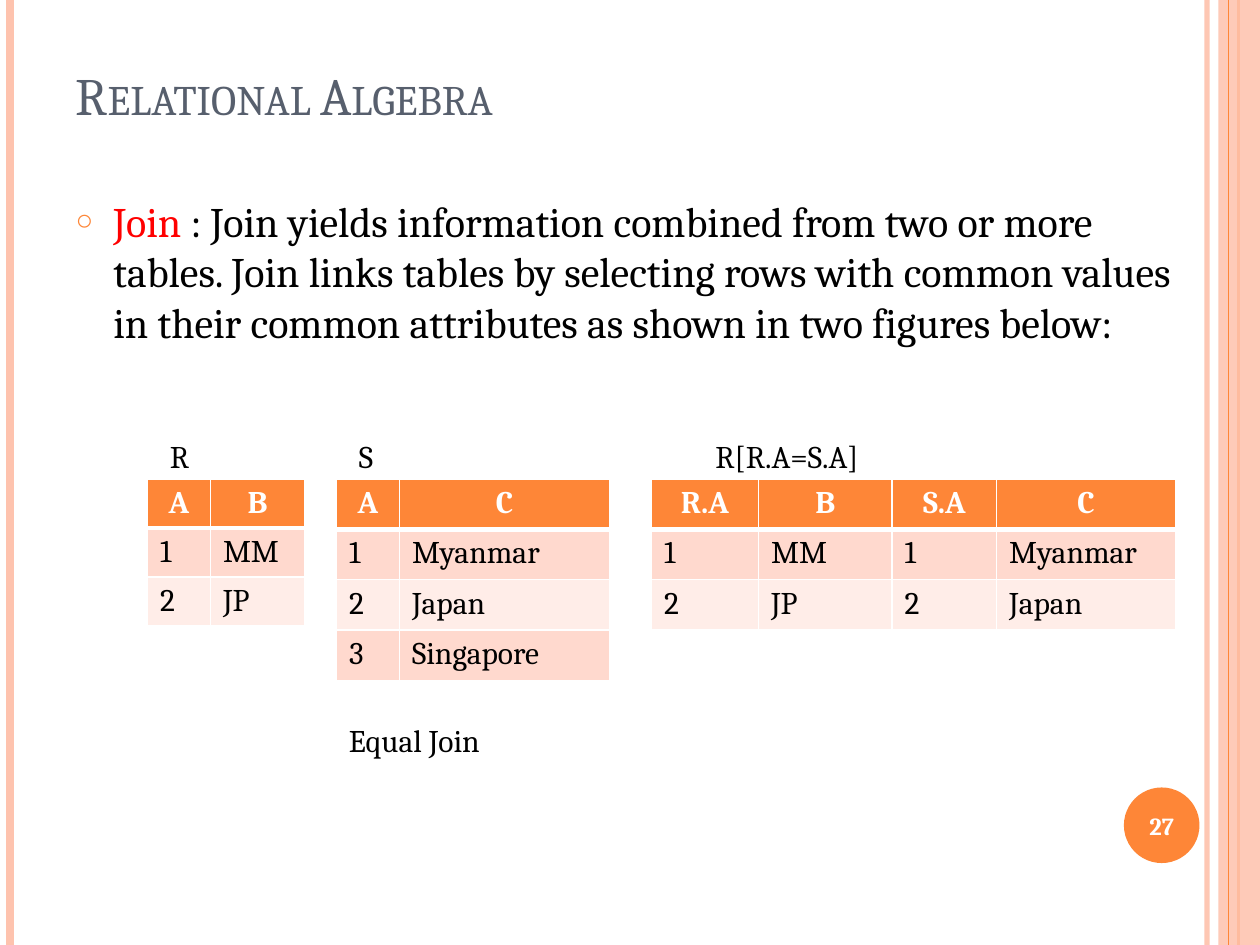
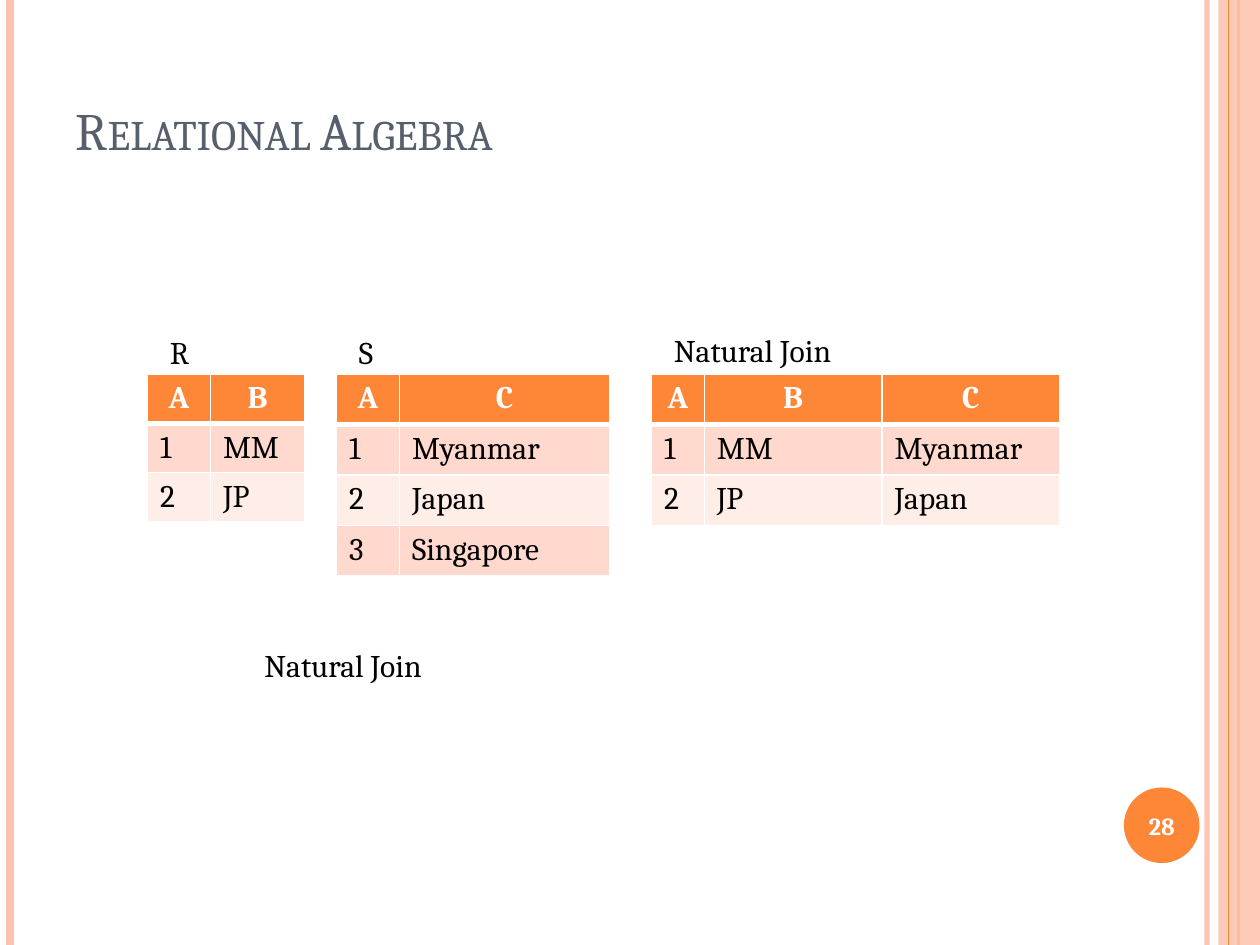
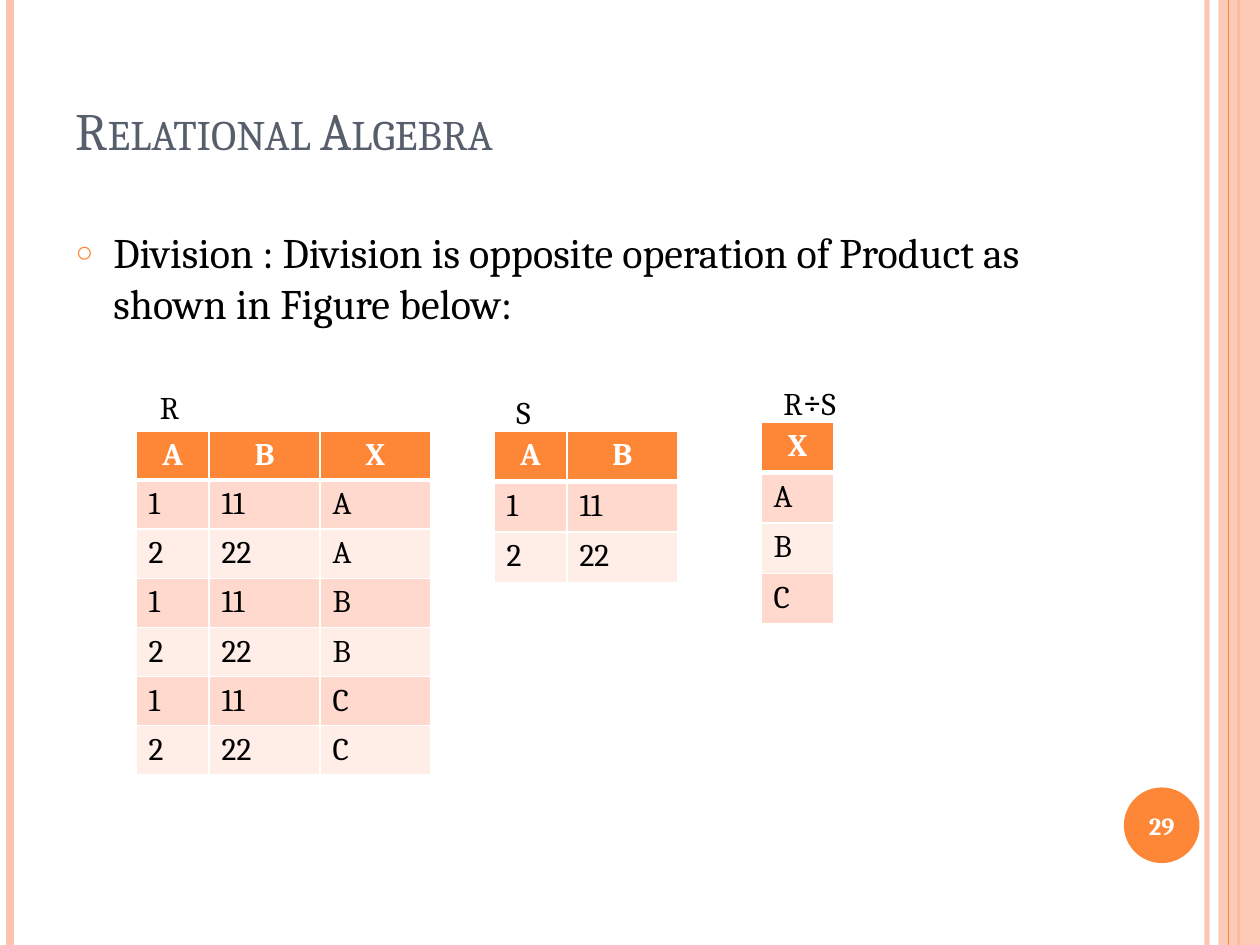
"""Builds three slides on relational algebra: equal join, natural join and division."""
from itertools import product

from lxml.etree import SubElement
from pptx import Presentation
from pptx.dml.color import RGBColor
from pptx.enum.shapes import MSO_CONNECTOR, MSO_SHAPE
from pptx.enum.text import MSO_ANCHOR as Anchor, MSO_AUTO_SIZE as AutoSize, PP_ALIGN as Align
from pptx.oxml.ns import qn
from pptx.util import Inches, Pt

ORANGE = RGBColor(0xFE, 0x86, 0x37)
PEACH = RGBColor(0xFE, 0xC3, 0xAE)
BAND_DARK = RGBColor(0xFF, 0xD9, 0xCE)
BAND_LIGHT = RGBColor(0xFF, 0xED, 0xE8)
SLATE = RGBColor(0x57, 0x5F, 0x6D)
RED = RGBColor(0xFF, 0, 0)
BLACK = RGBColor(0, 0, 0)
WHITE = RGBColor(0xFF, 0xFF, 0xFF)

FONT = "Cambria"
SYMBOL_FONT = "Noto Sans Mono"
TITLE_AND_BODY, TITLE_ONLY = 1, 5

R_ROWS = ["A B", "1 MM", "2 JP"]
S_ROWS = ["A C", "1 Myanmar", "2 Japan", "3 Singapore"]
EQUAL_JOIN_ROWS = ["R.A B S.A C", "1 MM 1 Myanmar", "2 JP 2 Japan"]
NATURAL_JOIN_ROWS = ["A B C", "1 MM Myanmar", "2 JP Japan"]
DIVISOR_ROWS = ["A B", "1 11", "2 22"]
DIVIDEND_ROWS = ["A B X"] + [f"{pair} {x}" for x, pair in product("ABC", DIVISOR_ROWS[1:])]


def set_font(target, size, color, bold=False):
    font = target.font
    font.name, font.size, font.bold = FONT, Pt(size), bold
    font.color.rgb = color


def set_alpha(shape, percent):
    color = shape._element.spPr.find(f".//{qn('a:srgbClr')}")
    SubElement(color, qn("a:alpha")).set("val", str(percent * 1000))


def set_borders(cell, row):
    properties = cell._tc.get_or_add_tcPr()
    widths = {"L": 1, "R": 1, "T": 3 if row == 1 else 1, "B": 3 if row == 0 else 1}
    for side, width in widths.items():
        border = SubElement(properties, qn(f"a:ln{side}"), w=str(Pt(width)))
        fill = SubElement(border, qn("a:solidFill"))
        SubElement(fill, qn("a:srgbClr"), val=str(WHITE))


def place(shape, left, top, width, height):
    shape.left, shape.top = Inches(left), Inches(top)
    shape.width, shape.height = Inches(width), Inches(height)


class Deck:
    def __init__(self):
        self.prs = Presentation()
        self.prs.slide_width, self.prs.slide_height = Inches(10), Inches(7.5)
        self.slide = None

    def start(self, number, layout, title_top=0.7):
        self.slide = self.prs.slides.add_slide(self.prs.slide_layouts[layout])
        self.stripe(9.58, PEACH, 3, alpha=93)
        self.stripe(0.08, PEACH, 4.5)
        self.stripe(9.83, ORANGE, 1.5)
        band = self.shape(MSO_SHAPE.RECTANGLE, 9.67, 0, 0.33, 7.5, PEACH)
        set_alpha(band, 87)
        self.stripe(9.75, ORANGE, 0.75)
        self.page_number(number)
        self.title("Relational Algebra", title_top)

    def stripe(self, x, color, width, alpha=None):
        line = self.slide.shapes.add_connector(
            MSO_CONNECTOR.STRAIGHT, Inches(x), 0, Inches(x), Inches(7.5))
        line.line.color.rgb = color
        line.line.width = Pt(width)
        if alpha:
            set_alpha(line, alpha)
        SubElement(line._element.spPr, qn("a:effectLst"))

    def shape(self, kind, left, top, width, height, color):
        shape = self.slide.shapes.add_shape(
            kind, Inches(left), Inches(top), Inches(width), Inches(height))
        shape.shadow.inherit = False
        shape.fill.solid()
        shape.fill.fore_color.rgb = color
        shape.line.fill.background()
        return shape

    def page_number(self, number):
        badge = self.shape(MSO_SHAPE.OVAL, 8.92, 6.25, 0.6, 0.6, ORANGE)
        frame = badge.text_frame
        frame.margin_left = frame.margin_right = 0
        frame.vertical_anchor = Anchor.MIDDLE
        paragraph = frame.paragraphs[0]
        paragraph.text = str(number)
        paragraph.alignment = Align.CENTER
        set_font(paragraph, 14, WHITE, bold=True)

    def title(self, text, top):
        heading = self.slide.shapes.title
        place(heading, 0.5, top, 8.17, 0.63)
        frame = heading.text_frame
        frame.auto_size = AutoSize.NONE
        frame.vertical_anchor = Anchor.BOTTOM
        paragraph = frame.paragraphs[0]
        paragraph.alignment = Align.LEFT
        set_font(paragraph, 30, SLATE)
        run = paragraph.add_run()
        run.text = text
        run._r.get_or_add_rPr().set("cap", "small")

    def bullet(self, term, definition, top, width, term_color=BLACK):
        body = self.slide.placeholders[1]
        place(body, 0.5, top, width, 7.08 - top)
        body.text_frame.auto_size = AutoSize.NONE
        paragraph = body.text_frame.paragraphs[0]
        paragraph.space_before = Pt(6)
        properties = paragraph._p.get_or_add_pPr()
        properties.set("marL", str(Inches(0.3)))
        properties.set("indent", str(-Inches(0.3)))
        color = SubElement(properties, qn("a:buClr"))
        SubElement(color, qn("a:srgbClr"), val=str(ORANGE))
        SubElement(properties, qn("a:buSzPct"), val="70000")
        SubElement(properties, qn("a:buChar"), char="○")
        set_font(paragraph, 24, BLACK)
        for text, run_color in ((term, term_color), (definition, BLACK)):
            run = paragraph.add_run()
            run.text = text
            run.font.color.rgb = run_color

    def label(self, text, left, top, width=0.67):
        box = self.slide.shapes.add_textbox(
            Inches(left), Inches(top), Inches(width), Inches(0.4))
        box.text_frame.word_wrap = True
        paragraph = box.text_frame.paragraphs[0]
        set_font(paragraph, 18, BLACK)
        before, symbol, after = text.partition("÷")
        for part in filter(None, (before, symbol, after)):
            run = paragraph.add_run()
            run.text = part
            if part == symbol:
                run.font.name = SYMBOL_FONT

    def relation(self, rows, left, top, widths, row_height=0.4):
        table = self.slide.shapes.add_table(
            len(rows), len(widths), Inches(left), Inches(top),
            Inches(sum(widths)), Inches(row_height * len(rows))).table
        table.horz_banding = False
        for column, width in zip(table.columns, widths):
            column.width = Inches(width)
        for r, values in enumerate(rows):
            table.rows[r].height = Inches(row_height)
            header = r == 0
            for c, value in enumerate(values.split()):
                cell = table.cell(r, c)
                set_borders(cell, r)
                cell.fill.solid()
                cell.fill.fore_color.rgb = (
                    ORANGE if header else BAND_DARK if r % 2 else BAND_LIGHT)
                paragraph = cell.text_frame.paragraphs[0]
                paragraph.text = value
                paragraph.alignment = Align.CENTER if header else Align.LEFT
                set_font(paragraph, 18, WHITE if header else BLACK, bold=header)

    def join_operands(self, top):
        self.relation(R_ROWS, 1.17, top, [0.5, 0.75], row_height=0.39)
        self.label("R", 1.25, top - 0.38)
        self.relation(S_ROWS, 2.67, top, [0.5, 1.67])
        self.label("S", 2.75, top - 0.38)


def main():
    deck = Deck()

    deck.start(27, TITLE_AND_BODY, title_top=0.42)
    deck.bullet("Join", " : Join yields information combined from two or more tables. "
                "Join links tables by selecting rows with common values in their common "
                "attributes as shown in two figures below:", 1.5, 9.08, term_color=RED)
    deck.join_operands(3.8)
    deck.relation(EQUAL_JOIN_ROWS, 5.17, 3.8, [0.85, 1.06, 0.83, 1.42])
    deck.label("R[R.A=S.A]", 5.58, 3.42, 2.83)
    deck.label("Equal Join", 2.67, 5.67, 3.17)

    deck.start(28, TITLE_ONLY)
    deck.join_operands(2.97)
    deck.relation(NATURAL_JOIN_ROWS, 5.17, 2.97, [0.42, 1.41, 1.41])
    deck.label("Natural Join", 5.25, 2.58, 2.42)
    deck.label("Natural Join", 2, 5.08, 4.42)

    deck.start(29, TITLE_AND_BODY)
    deck.bullet("Division", " : Division is opposite operation of Product as shown in "
                "Figure below:", 1.75, 8.17)
    deck.relation(DIVIDEND_ROWS, 1.08, 3.42, [0.58, 0.88, 0.88], row_height=0.39)
    deck.label("R", 1.17, 3.03)
    deck.relation(DIVISOR_ROWS, 3.92, 3.42, [0.58, 0.88])
    deck.label("S", 4, 3.07)
    deck.relation(["X", "A", "B", "C"], 6.04, 3.35, [0.58])
    deck.label("R÷S", 6.12, 3)

    deck.prs.save("out.pptx")


if __name__ == "__main__":
    main()
